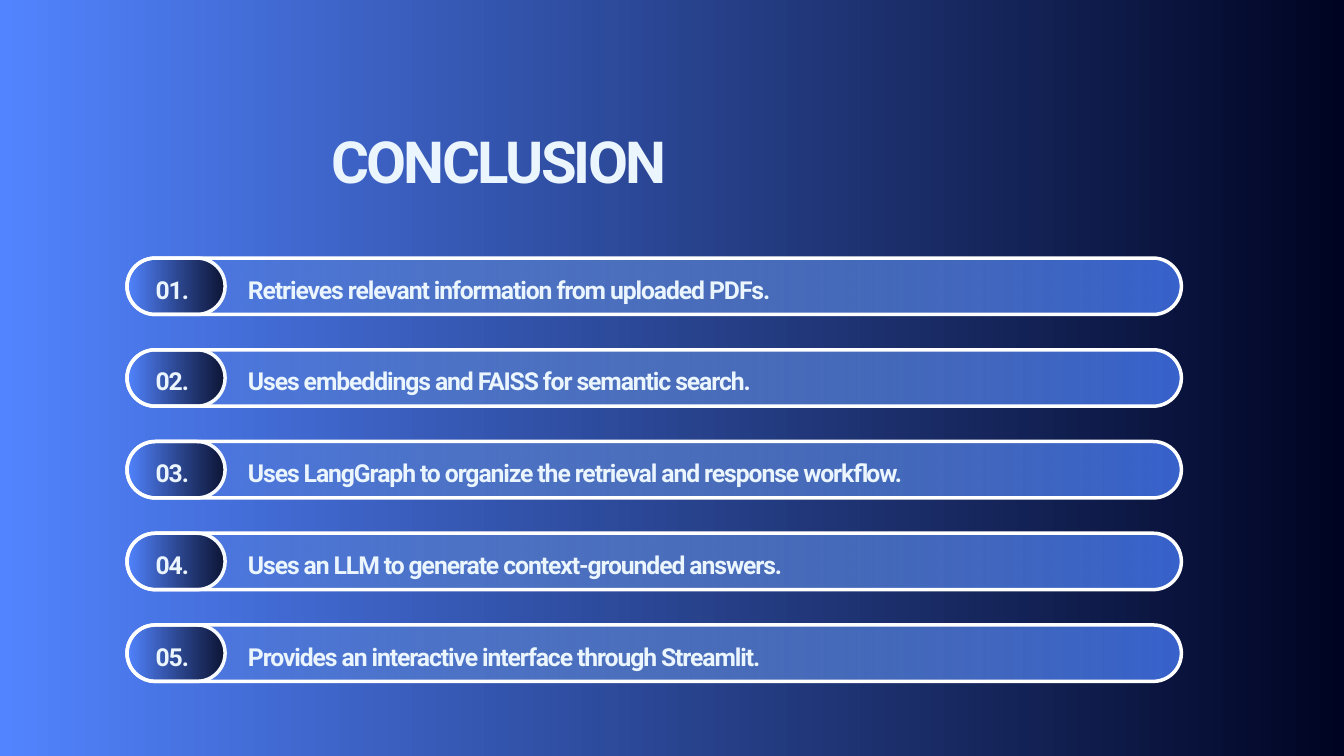
import pptx
import pptx.util
import pptx.dml.color
import pptx.enum.shapes
import pptx.enum.text
import pptx.oxml
import pptx.oxml.ns

Inches = pptx.util.Inches
Pt = pptx.util.Pt
ALIGN = pptx.enum.text.PP_ALIGN

COLORS = {
    "blue": "5284FF",
    "navy": "000422",
    "sky": "9FCDFF",
    "royal": "3964CD",
    "outline": "FFFFFF",
    "text": "EBF5FE",
}
POINTS = [
    "Retrieves relevant information from uploaded PDFs.",
    "Uses embeddings and FAISS for semantic search.",
    "Uses LangGraph to organize the retrieval and response workflow.",
    "Uses an LLM to generate context-grounded answers.",
    "Provides an interactive interface through Streamlit.",
]
LEFT = 1.89
FIRST_TOP, LAST_TOP = 3.84, 9.3
PITCH = (LAST_TOP - FIRST_TOP) / (len(POINTS) - 1)


class Deck:
    """Style and current slide, with one method per kind of element."""

    font = "Roboto"

    def __init__(self, slide):
        self.slide = slide

    def color(self, name):
        return pptx.dml.color.RGBColor.from_string(COLORS[name])

    def gradient(self, fill, start, end):
        fill.gradient()
        fill.gradient_angle = 0
        for stop, name, position in zip(fill.gradient_stops, (start, end), (0, 1)):
            stop.color.rgb = self.color(name)
            stop.position = position

    def background(self, start, end):
        self.gradient(self.slide.background.fill, start, end)

    def pill(self, top, width, start, end, fade=False):
        sp = self.slide.shapes.add_shape(
            pptx.enum.shapes.MSO_SHAPE.ROUNDED_RECTANGLE,
            Inches(LEFT), Inches(top), Inches(width), Inches(0.84))
        sp.adjustments[0] = 0.5
        sp.shadow.inherit = False
        self.gradient(sp.fill, start, end)
        sp.line.color.rgb = self.color("outline")
        sp.line.width = Pt(3.75)
        if fade:
            # The first gradient stop is fully transparent
            first = sp._element.spPr.xpath("./a:gradFill/a:gsLst/a:gs/a:srgbClr")[0]
            alpha = pptx.oxml.parse_xml(
                f'<a:alpha {pptx.oxml.ns.nsdecls("a")} val="0"/>')
            first.append(alpha)

    def text(self, text, left, top, width, height, align=ALIGN.LEFT,
             size=26.5, leading=37.1, tracking=-1.2):
        box = self.slide.shapes.add_textbox(
            Inches(left), Inches(top), Inches(width), Inches(height))
        tf = box.text_frame
        tf.word_wrap = True
        tf.auto_size = pptx.enum.text.MSO_AUTO_SIZE.SHAPE_TO_FIT_TEXT
        tf.margin_left = tf.margin_right = tf.margin_top = tf.margin_bottom = 0
        tf.text = text
        p = tf.paragraphs[0]
        p.alignment = align
        p.line_spacing = Pt(leading)
        r = p.runs[0]
        r.font.name = self.font
        r.font.size = Pt(size)
        r.font.bold = True
        r.font.color.rgb = self.color("text")
        r.font._element.set("spc", str(round(tracking * 100)))


def main():
    prs = pptx.Presentation()
    prs.slide_width = Inches(20)
    prs.slide_height = Inches(11.25)
    s = Deck(prs.slides.add_slide(prs.slide_layouts[6]))

    # Background and title
    s.background("blue", "navy")
    s.text("CONCLUSION", 4.93, 1.7, 6.02, 1.17, ALIGN.JUSTIFY,
           size=62.2, leading=87, tracking=-2.9)

    # Numbered bars
    for i, point in enumerate(POINTS):
        top = FIRST_TOP + i * PITCH
        s.pill(top, 1.46, "blue", "navy")
        s.pill(top, 15.69, "sky", "royal", fade=True)
        s.text(point, 3.69, top + 0.17, 12.09, 0.48)
        s.text(f"{i + 1:02d}.", 2.08, top + 0.17, 0.97, 0.48, ALIGN.CENTER)

    prs.save("out.pptx")


if __name__ == "__main__":
    main()
